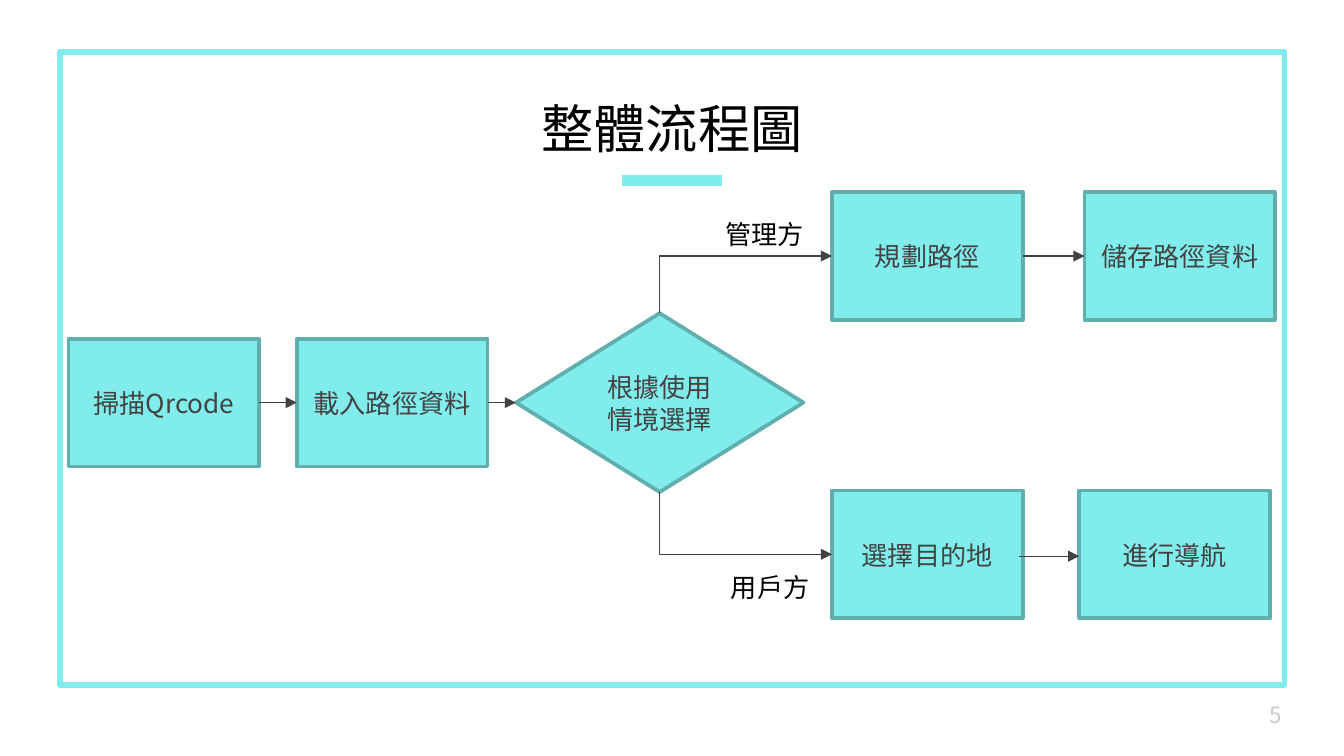
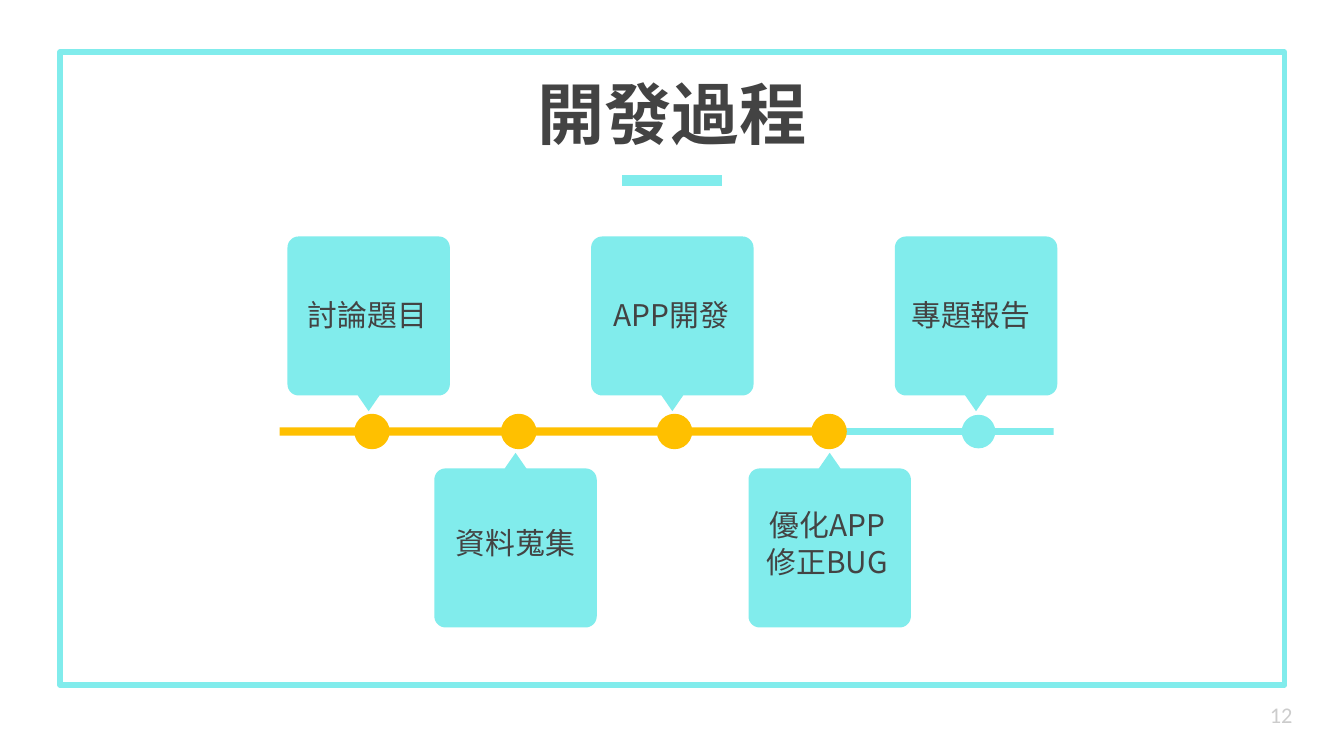
"""Build a flow chart slide and a development timeline slide."""
import math

import pptx
import pptx.dml.color
import pptx.enum.shapes
import pptx.enum.text
import pptx.oxml.ns
import pptx.util
from lxml import etree

Pt = pptx.util.Pt
RGBColor = pptx.dml.color.RGBColor
SHAPES = pptx.enum.shapes.MSO_SHAPE
CONNECTORS = pptx.enum.shapes.MSO_CONNECTOR
ANCHOR = pptx.enum.text.MSO_ANCHOR
ALIGN = pptx.enum.text.PP_ALIGN
qn = pptx.oxml.ns.qn

AQUA = RGBColor(0x81, 0xEC, 0xEC)
DEEP_AQUA = RGBColor(0x5F, 0xAF, 0xAF)
AMBER = RGBColor(0xFF, 0xC0, 0x00)
GRAPHITE = RGBColor(0x43, 0x43, 0x43)
ARROW_GRAY = RGBColor(0x42, 0x42, 0x42)
PALE_GRAY = RGBColor(0xCC, 0xCC, 0xCC)
BLACK = RGBColor(0x00, 0x00, 0x00)

CJK_FONT = "Noto Sans CJK JP"
LINE_RATIO = 1.22
TOP, LEFT, BOTTOM, RIGHT = range(4)

BOX_WIDTH, BOX_HEIGHT = 102.2, 68.4
MIDDLE_ROW, UPPER_ROW, LOWER_ROW = 181.5, 103, 262.8
STEPS = {
    "scan": ("掃描Qrcode", 36.7, MIDDLE_ROW),
    "load": ("載入路徑資料", 159, MIDDLE_ROW),
    "plan": ("規劃路徑", 445.7, UPPER_ROW),
    "store": ("儲存路徑資料", 581, UPPER_ROW),
    "target": ("選擇目的地", 445.7, LOWER_ROW),
    "navigate": ("進行導航", 578.2, LOWER_ROW),
}

CALLOUT_WIDTH, CALLOUT_HEIGHT = 87, 93.6
TIP_HEIGHT, TIP_HALF_WIDTH, CORNER = 8.4, 5.8, 6
UPPER_CALLOUT, LOWER_CALLOUT = 126.7, 242.6
CALLOUTS = [
    (["討論題目"], 154, UPPER_CALLOUT, 156.2, 151.2),
    (["資料蒐集"], 232.7, LOWER_CALLOUT, 235.4, 273.6),
    (["APP開發"], 316.7, UPPER_CALLOUT, 319, 151.2),
    (["優化APP", "修正BUG"], 401, LOWER_CALLOUT, 402.5, 264.2),
    (["專題報告"], 479.4, UPPER_CALLOUT, 479.5, 151.2),
]
TIMELINE_Y = 231.2
DONE_DOTS = [199.3, 277.9, 361.4, 444.2]
DONE_BARS = [(149.8, 194.6), (207.8, 271.7), (286.6, 360), (368.9, 442.6)]
NEXT_DOT = 524.2


def apply_format(target, values):
    """Set every attribute named in a dict."""
    for name, value in values.items():
        setattr(target, name, value)


def write_text(shape, lines, size, color, align=ALIGN.CENTER, anchor=ANCHOR.TOP,
               insets=(7.2, 3.6), wrap=True, font=CJK_FONT, bold=False):
    """Fill a shape with formatted paragraphs."""
    frame = shape.text_frame
    horizontal, vertical = map(Pt, insets)
    apply_format(frame, {
        "word_wrap": wrap, "vertical_anchor": anchor,
        "margin_left": horizontal, "margin_right": horizontal,
        "margin_top": vertical, "margin_bottom": vertical,
    })
    for index, line in enumerate(lines):
        paragraph = frame.add_paragraph() if index else frame.paragraphs[0]
        paragraph.alignment = align
        if font == CJK_FONT:
            paragraph.line_spacing = Pt(size * LINE_RATIO)
        run = paragraph.add_run()
        run.text = line
        apply_format(run.font, {"name": font, "size": Pt(size), "bold": bold})
        run.font.color.rgb = color
        east_asian = etree.SubElement(run.font._element, qn("a:ea"))
        east_asian.set("typeface", CJK_FONT)


def add_text(slide, lines, left, top, width, height, size, color, **options):
    """Add a text box."""
    shape = slide.shapes.add_textbox(Pt(left), Pt(top), Pt(width), Pt(height))
    write_text(shape, lines, size, color, **options)


def paint(shape, fill=None, line=None, line_width=0):
    """Set fill and outline and drop the shadow."""
    shape.shadow.inherit = False
    if fill is None:
        shape.fill.background()
    else:
        shape.fill.solid()
        shape.fill.fore_color.rgb = fill
    if line is None:
        shape.line.fill.background()
    else:
        shape.line.color.rgb = line
        shape.line.width = Pt(line_width)


def add_block(slide, kind, left, top, width, height, fill=None, **outline):
    """Add a painted preset shape."""
    shape = slide.shapes.add_shape(kind, Pt(left), Pt(top), Pt(width), Pt(height))
    paint(shape, fill, **outline)
    return shape


def add_step(slide, kind, text, left, top, width, height):
    """Add one labelled node of the flow chart."""
    shape = add_block(slide, kind, left, top, width, height, AQUA,
                      line=DEEP_AQUA, line_width=2)
    write_text(shape, [text], 14, GRAPHITE, anchor=ANCHOR.MIDDLE)
    return shape


def add_line(slide, start, end, color, width, kind=CONNECTORS.STRAIGHT):
    """Add a plain connector without a shadow."""
    connector = slide.shapes.add_connector(kind, *map(Pt, (*start, *end)))
    connector.line.color.rgb = color
    connector.line.width = Pt(width)
    etree.SubElement(connector._element.spPr, qn("a:effectLst"))
    return connector


def add_arrow(slide, start=(0, 0), end=(0, 0), kind=CONNECTORS.STRAIGHT):
    """Add a thin connector with a triangular head."""
    connector = add_line(slide, start, end, ARROW_GRAY, 0.75, kind)
    head = etree.SubElement(connector.line._get_or_add_ln(), qn("a:tailEnd"))
    head.set("type", "triangle")
    return connector


def join(connector, source, source_side, target, target_side):
    """Attach both ends of a connector."""
    connector.begin_connect(source, source_side)
    connector.end_connect(target, target_side)


def add_branch(slide, source, side, target):
    """Add a one-bend arrow from the top or bottom of a node to a left side."""
    connector = add_arrow(slide, kind=CONNECTORS.ELBOW)
    join(connector, source, side, target, LEFT)
    start_x = source.left + source.width // 2
    start_y = source.top + (source.height if side == BOTTOM else 0)
    end_y = target.top + target.height // 2
    run, rise = target.left - start_x, abs(end_y - start_y)
    apply_format(connector, {
        "left": start_x + (run - rise) // 2,
        "top": (start_y + end_y - run) // 2,
        "width": rise, "height": run,
    })
    properties = connector._element.spPr
    properties.find(qn("a:prstGeom")).set("prst", "bentConnector2")
    transform = properties.find(qn("a:xfrm"))
    quarter_turns = 1 if side == TOP else 3
    transform.set("rot", str(quarter_turns * 90 * 60000))
    transform.set("flipH", "1")
    transform.set("flipV", "1" if side == TOP else "0")


def add_callout(slide, left, top, tip_down):
    """Add a rounded card whose tip points at the timeline."""
    body = CALLOUT_HEIGHT - TIP_HEIGHT
    middle = CALLOUT_WIDTH / 2
    near, far = CORNER, CALLOUT_WIDTH - CORNER
    corners = [(near, near, 180), (far, near, 270),
               (far, body - CORNER, 0), (near, body - CORNER, 90)]
    points = []
    for index, (x, y, start) in enumerate(corners):
        if index == 3:
            points += [(middle + TIP_HALF_WIDTH, body), (middle, CALLOUT_HEIGHT),
                       (middle - TIP_HALF_WIDTH, body)]
        for step in range(0, 91, 10):
            angle = math.radians(start + step)
            points.append((x + CORNER * math.cos(angle), y + CORNER * math.sin(angle)))
    placed = [(Pt(left + x), Pt(top + (y if tip_down else CALLOUT_HEIGHT - y)))
              for x, y in points]
    builder = slide.shapes.build_freeform(*placed[0])
    builder.add_line_segments(placed[1:], close=True)
    paint(builder.convert_to_shape(), AQUA)


def add_bar(slide, start, end, thickness, color):
    """Add a stretch of the timeline."""
    add_block(slide, SHAPES.RECTANGLE, start, TIMELINE_Y - thickness / 2,
              end - start, thickness, color)


def add_dot(slide, center, diameter, color):
    """Add a milestone on the timeline."""
    add_block(slide, SHAPES.OVAL, center - diameter / 2, TIMELINE_Y - diameter / 2,
              diameter, diameter, color)


def add_base_slide(presentation, number, number_font):
    """Add a blank slide with frame, title bar and page number."""
    slide = presentation.slides.add_slide(presentation.slide_layouts[6])
    add_block(slide, SHAPES.RECTANGLE, 32.2, 28, 656, 339, line=AQUA, line_width=3)
    add_line(slide, (333.3, 96.5), (386.7, 96.5), AQUA, 6)
    add_text(slide, [number], 673.2, 367.2, 43.2, 31, 12, PALE_GRAY, align=ALIGN.LEFT,
             anchor=ANCHOR.MIDDLE, insets=(7.2, 7.2), font=number_font)
    return slide


def build_flow(presentation):
    """Build the overall flow chart."""
    slide = add_base_slide(presentation, "5", CJK_FONT)
    add_text(slide, ["整體流程圖"], 282, 47.5, 156, 41, 28, BLACK, wrap=False)
    nodes = {name: add_step(slide, SHAPES.RECTANGLE, *place, BOX_WIDTH, BOX_HEIGHT)
             for name, place in STEPS.items()}
    nodes["choose"] = add_step(slide, SHAPES.DIAMOND, "根據使用情境選擇",
                               276.4, 167.8, 154, 95.8)
    for source, target in [("scan", "load"), ("load", "choose"), ("plan", "store")]:
        join(add_arrow(slide), nodes[source], RIGHT, nodes[target], LEFT)
    add_arrow(slide, (546, 298), (578.2, 298))
    for side, target in [(TOP, "plan"), (BOTTOM, "target")]:
        add_branch(slide, nodes["choose"], side, nodes[target])
    for label, left, top in [("管理方", 381.6, 113), ("用戶方", 384.5, 302.4)]:
        add_text(slide, [label], left, top, 57, 24.5, 14, BLACK,
                 align=ALIGN.LEFT, wrap=False)


def build_timeline(presentation):
    """Build the development timeline."""
    slide = add_base_slide(presentation, "12", "Calibri")
    add_text(slide, ["開發過程"], 0, 17.3, 720, 72, 36, GRAPHITE, anchor=ANCHOR.BOTTOM,
             insets=(7.2, 7.2), font="Cabin", bold=True)
    for lines, left, top, text_left, text_top in CALLOUTS:
        add_callout(slide, left, top, top == UPPER_CALLOUT)
        add_text(slide, lines, text_left, text_top, 81.4, 18.7, 16, GRAPHITE,
                 insets=(7.2, 7.2))
    add_bar(slide, 150.5, 564.5, 3.6, AQUA)
    add_dot(slide, NEXT_DOT, 18, AQUA)
    for (start, end), center in zip(DONE_BARS, DONE_DOTS):
        add_bar(slide, start, end, 4.5, AMBER)
        add_dot(slide, center, 19, AMBER)


def main():
    """Build and save the presentation."""
    presentation = pptx.Presentation()
    apply_format(presentation, {"slide_width": Pt(720), "slide_height": Pt(405)})
    build_flow(presentation)
    build_timeline(presentation)
    presentation.save("out.pptx")


if __name__ == "__main__":
    main()
